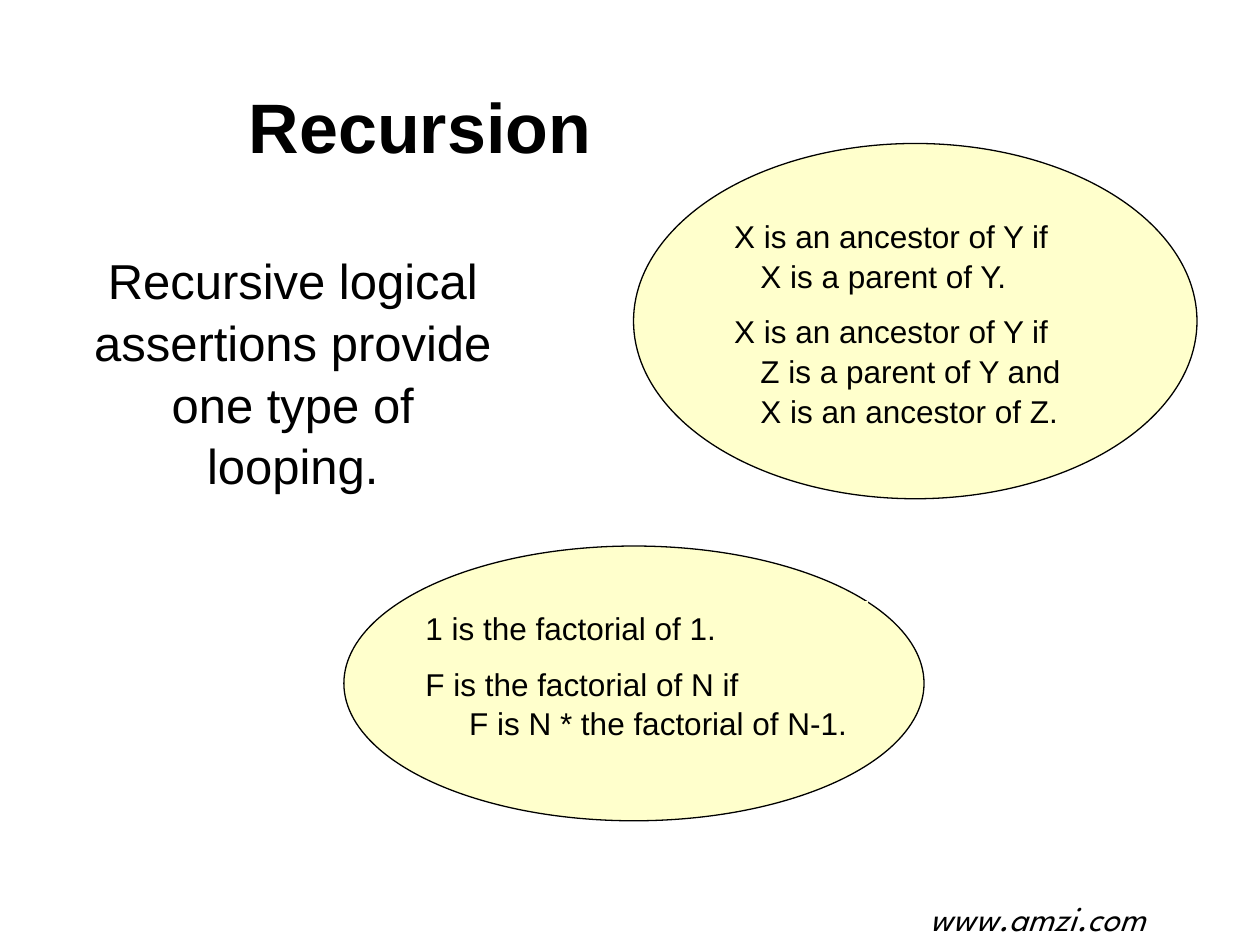
from pptx import Presentation
from pptx import util as u
from pptx.dml.color import RGBColor
from pptx.enum import shapes, text

INK = {"text": "000000", "line": "000000", "oval": "FFFFCC"}
LEFT, MID, RIGHT = text.PP_ALIGN.LEFT, text.PP_ALIGN.CENTER, text.PP_ALIGN.RIGHT


class Deck:
    face = "Arial"

    def __init__(self, wide, high):
        self.prs = Presentation()
        self.prs.slide_width, self.prs.slide_height = u.Pt(wide), u.Pt(high)
        self.slide = self.prs.slides.add_slide(self.prs.slide_layouts[5])

    def color(self, key):
        return RGBColor.from_string(INK[key])

    def words(self, shape, paras, align=LEFT, hang=0, gap=0, lead=1.05, **font):
        frame = shape.text_frame
        frame.word_wrap = True
        frame.auto_size = text.MSO_AUTO_SIZE.NONE
        frame.vertical_anchor = text.MSO_ANCHOR.TOP
        for i, line in enumerate(paras):
            para = frame.add_paragraph() if i else frame.paragraphs[0]
            para.text = line
            props = para._p.get_or_add_pPr()
            props.set("marL", str(u.Pt(hang)))
            props.set("indent", str(u.Pt(-hang)))
            form = {"alignment": align, "line_spacing": lead,
                    "space_before": u.Pt(gap if i else 0)}
            for key, val in form.items():
                setattr(para, key, val)
            for key, val in {"name": self.face, **font}.items():
                setattr(para.font, key, val)
            para.font.color.rgb = self.color("text")

    def title(self, line, box, **form):
        shape = self.slide.shapes.title
        for key, val in zip(("left", "top", "width", "height"), box):
            setattr(shape, key, u.Pt(val))
        self.words(shape, [line], **form)

    def label(self, line, box, **form):
        shape = self.slide.shapes.add_textbox(*map(u.Pt, box))
        self.words(shape, [line], **form)

    def shape(self, group, kind, box):
        shape = group.shapes.add_shape(kind, *map(u.Pt, box))
        shape.shadow.inherit = False
        shape.fill.solid()
        shape.fill.fore_color.rgb = self.color("oval")
        return shape

    def bubble(self, paras, oval, box, hang):
        group = self.slide.shapes.add_group_shape()
        ring = self.shape(group, shapes.MSO_SHAPE.OVAL, oval)
        ring.line.color.rgb = self.color("line")
        ring.line.width = u.Pt(0.75)
        panel = self.shape(group, shapes.MSO_SHAPE.RECTANGLE, box)
        panel.line.fill.background()
        self.words(panel, paras, hang=hang, gap=9, size=u.Pt(18))


def main():
    deck = Deck(720, 540)
    deck.label("www.amzi.com", (444.25, 509, 217.5, 31.7), align=RIGHT, lead=1,
               name="League Spartan", size=u.Pt(20), italic=True)
    deck.title("Recursion", (120, 42, 240, 55.5), align=MID,
               size=u.Pt(40), bold=True)
    deck.label("Recursive logical assertions provide one type of looping.",
               (42, 138, 250.5, 143.5), align=MID, size=u.Pt(28))
    deck.bubble(["X is an ancestor of Y if\vX is a parent of Y.",
                 "X is an ancestor of Y if\vZ is a parent of Y and\v"
                 "X is an ancestor of Z."],
                (362, 82, 322, 203), (412.5, 119.5, 230.5, 127.5), 15)
    deck.bubble(["1 is the factorial of 1.",
                 "F is the factorial of N if\vF is N * the factorial of N-1."],
                (196.5, 312, 331.5, 157), (236, 343.5, 260, 83.5), 25)
    deck.prs.save("out.pptx")


if __name__ == "__main__":
    main()
